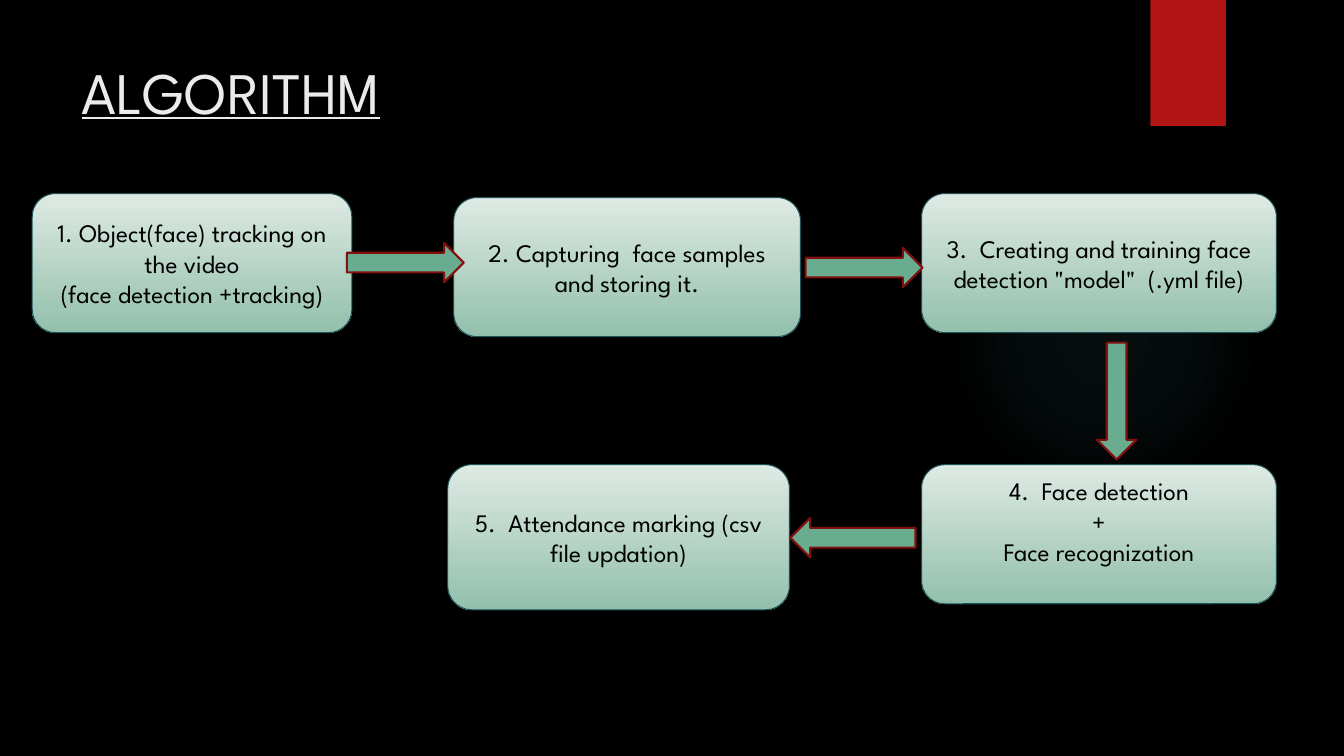
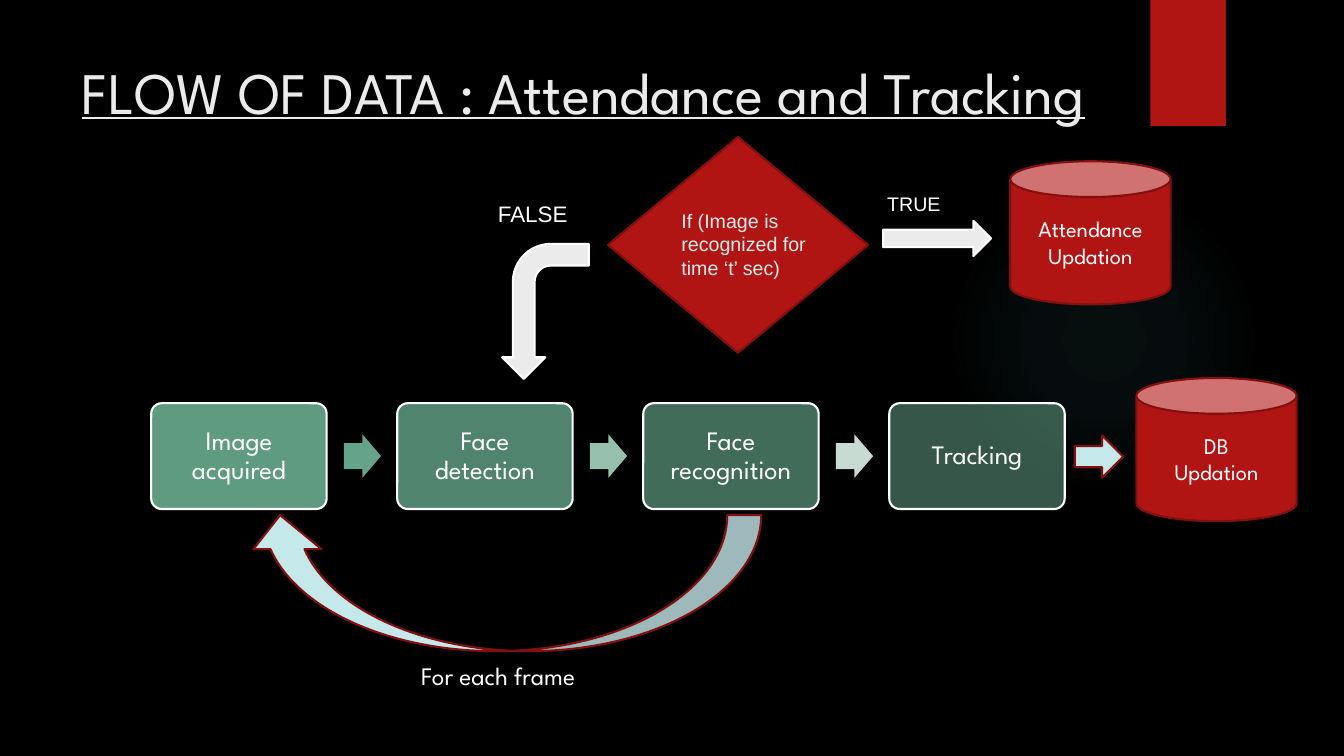
from dataclasses import dataclass

import lxml.etree
import pptx
import pptx.dml.color
import pptx.enum.shapes
import pptx.enum.text
import pptx.oxml
import pptx.oxml.ns
import pptx.util

Inches = pptx.util.Inches
Pt = pptx.util.Pt
Kind = pptx.enum.shapes.MSO_SHAPE
Align = pptx.enum.text.PP_ALIGN
Anchor = pptx.enum.text.MSO_ANCHOR

COLORS = {
    "background": "000000",
    "title": "EBEBEB",
    "white": "FFFFFF",
    "black": "000000",
    "red": "B01513",
    "dark red": "82100E",
    "green": "6AAC90",
    "green light": "DEEAE4",
    "green soft": "93C0AC",
    "teal line": "1E5155",
    "glow": "50B9C1",
    "ice": "C5E8EA",
    "step arrow 1": "65A48A",
    "step arrow 2": "97BFAD",
    "step arrow 3": "C8DBD2",
}
HEADING_FONT = "League Spartan"
LABEL_FONT = "Arial"


@dataclass
class Box:
    left: float
    top: float
    width: float
    height: float

    def lengths(self) -> tuple:
        return tuple(Inches(n) for n in (self.left, self.top, self.width, self.height))


@dataclass
class Block:
    kind: int
    box: Box
    fill: str
    line: str = ""
    rotation: int = 0
    flip_vertical: bool = False


@dataclass
class FlowCard:
    box: Box
    text: str
    bottom_inset: float = 0.05


@dataclass
class Label:
    box: Box
    text: str
    size: int
    color: str = "white"
    font: str = LABEL_FONT


@dataclass
class Step:
    text: str
    opacity: int
    arrow: str = ""


def rgb(name: str) -> pptx.dml.color.RGBColor:
    return pptx.dml.color.RGBColor.from_string(COLORS[name])


def set_text(shape, text: str, size: int, color: str, font: str = HEADING_FONT,
             alignment=Align.CENTER, underline: bool = False) -> None:
    shape.text_frame.text = text
    for paragraph in shape.text_frame.paragraphs:
        paragraph.alignment = alignment
        for run in paragraph.runs:
            run.font.name = font
            run.font.size = Pt(size)
            run.font.color.rgb = rgb(color)
            if underline:
                run.font.underline = True


def add_block(slide, block: Block):
    shape = slide.shapes.add_shape(block.kind, *block.box.lengths())
    shape.shadow.inherit = False
    shape.fill.solid()
    shape.fill.fore_color.rgb = rgb(block.fill)
    if block.line:
        shape.line.color.rgb = rgb(block.line)
        shape.line.width = Pt(1.5)
    else:
        shape.line.fill.background()
    shape.rotation = block.rotation
    if block.flip_vertical:
        shape.element.spPr.find(pptx.oxml.ns.qn("a:xfrm")).set("flipV", "1")
    shape.text_frame.vertical_anchor = Anchor.MIDDLE
    return shape


def set_opacity(shape, percent: int) -> None:
    color = shape.element.spPr.find(".//" + pptx.oxml.ns.qn("a:srgbClr"))
    alpha = lxml.etree.SubElement(color, pptx.oxml.ns.qn("a:alpha"))
    alpha.set("val", str(percent * 1000))


def set_glow(shape) -> None:
    """Fill with a soft radial light that fades out."""
    stops = "".join(
        f'<a:gs pos="{position * 1000}"><a:srgbClr val="{COLORS["glow"]}">'
        f'<a:alpha val="{alpha * 1000}"/></a:srgbClr></a:gs>'
        for position, alpha in ((0, 7), (36, 6), (69, 0), (100, 0))
    )
    gradient = pptx.oxml.parse_xml(
        f'<a:gradFill {pptx.oxml.ns.nsdecls("a")} rotWithShape="1"><a:gsLst>{stops}</a:gsLst>'
        '<a:path path="circle"><a:fillToRect l="50000" t="50000" r="50000" b="50000"/>'
        "</a:path></a:gradFill>"
    )
    properties = shape.element.spPr
    properties.replace(properties.find(pptx.oxml.ns.qn("a:solidFill")), gradient)


def add_titled_slide(presentation, title: str, height: float):
    slide = presentation.slides.add_slide(presentation.slide_layouts.get_by_name("Title Only"))
    placeholder = slide.shapes.title
    box = Box(0.71, 0.5, 10.29, height)
    placeholder.left, placeholder.top, placeholder.width, placeholder.height = box.lengths()
    set_text(placeholder, title, 42, "title", alignment=Align.LEFT, underline=True)
    return slide


def style_layout(presentation) -> None:
    """Give the layout its background, glow, red band and title settings."""
    layout = presentation.slide_layouts.get_by_name("Title Only")
    background = presentation.slide_master.background.fill
    background.solid()
    background.fore_color.rgb = rgb("background")
    for placeholder in layout.placeholders:
        if placeholder.placeholder_format.type == pptx.enum.shapes.PP_PLACEHOLDER.TITLE:
            placeholder.text_frame.vertical_anchor = Anchor.TOP
            placeholder.text_frame.auto_size = pptx.enum.text.MSO_AUTO_SIZE.NONE


def add_layout_decor(presentation, slide) -> None:
    """Build the shared shapes, then move them to the back of the layout."""
    glow = add_block(slide, Block(Kind.OVAL, Box(9.41, 1.83, 3.08, 3.08), "glow"))
    set_glow(glow)
    band = add_block(slide, Block(Kind.RECTANGLE, Box(11.41, 0, 0.75, 1.25), "red"))
    tree = slide.slide_layout.shapes.element
    for index, shape in enumerate((glow, band)):
        tree.insert(2 + index, shape.element)


def add_flow_card(slide, card: FlowCard) -> None:
    shape = add_block(slide, Block(Kind.ROUNDED_RECTANGLE, card.box, "green", "teal line"))
    shape.line.width = Pt(0.75)
    shape.fill.gradient()
    shape.fill.gradient_angle = 270
    for stop, color in zip(shape.fill.gradient_stops, ("green light", "green soft")):
        stop.color.rgb = rgb(color)
        stop.position = 0 if color == "green light" else 1
    set_text(shape, card.text, 18, "black")
    shape.text_frame.margin_bottom = Inches(card.bottom_inset)


def add_label(slide, label: Label) -> None:
    shape = slide.shapes.add_textbox(*label.box.lengths())
    shape.text_frame.word_wrap = True
    set_text(shape, label.text, label.size, label.color, label.font, Align.LEFT)


def add_step(slide, index: int, step: Step) -> None:
    left = 1.5 + 2.44 * index
    box = Box(left, 4, 1.74, 1.05)
    shape = add_block(slide, Block(Kind.ROUNDED_RECTANGLE, box, "green", "white"))
    shape.adjustments[0] = 0.1
    set_opacity(shape, step.opacity)
    set_text(shape, step.text, 19, "white")
    frame = shape.text_frame
    frame.margin_left = frame.margin_right = Inches(0.08)
    frame.margin_top = frame.margin_bottom = Inches(0.08)
    frame.paragraphs[0].line_spacing = 0.9
    if step.arrow:
        arrow_box = Box(left + 1.91, 4.31, 0.37, 0.43)
        arrow = add_block(slide, Block(Kind.RIGHT_ARROW, arrow_box, step.arrow))
        arrow.adjustments[0] = 0.6


def build_algorithm(slide) -> None:
    cards = [
        FlowCard(Box(0.32, 1.92, 3.17, 1.38),
                 "1. Object(face) tracking on the video\n(face detection +tracking)"),
        FlowCard(Box(4.5, 1.96, 3.44, 1.38), "2. Capturing  face samples and storing it."),
        FlowCard(Box(9.14, 1.92, 3.52, 1.38),
                 '3.  Creating and training face detection "model"  (.yml file)'),
        FlowCard(Box(9.14, 4.61, 3.52, 1.38),
                 "4.  Face detection\n+\nFace recognization", bottom_inset=0.31),
        FlowCard(Box(4.44, 4.61, 3.39, 1.44), "5.  Attendance marking (csv file updation)"),
    ]
    for card in cards:
        add_flow_card(slide, card)

    arrows = [
        (Kind.RIGHT_ARROW, Box(3.44, 2.41, 1.16, 0.39)),
        (Kind.RIGHT_ARROW, Box(7.99, 2.46, 1.16, 0.39)),
        (Kind.DOWN_ARROW, Box(10.88, 3.4, 0.39, 1.16)),
        (Kind.LEFT_ARROW, Box(7.84, 5.14, 1.24, 0.39)),
    ]
    for kind, box in arrows:
        add_block(slide, Block(kind, box, "green", "dark red"))


def build_data_flow(slide) -> None:
    # Processing steps
    steps = [
        Step("Image acquired", 90, "step arrow 1"),
        Step("Face detection", 77, "step arrow 2"),
        Step("Face recognition", 63, "step arrow 3"),
        Step("Tracking", 50),
    ]
    for index, step in enumerate(steps):
        add_step(slide, index, step)

    # Data stores
    for left, top, text in ((10.02, 1.6, "Attendance Updation"), (11.27, 3.75, "DB\nUpdation")):
        store = add_block(slide, Block(Kind.CAN, Box(left, top, 1.59, 1.42), "red", "dark red"))
        set_text(store, text, 16, "white")

    # Decision and the arrows around it
    blocks = [
        Block(Kind.RIGHT_ARROW, Box(10.66, 4.32, 0.48, 0.42), "ice", "dark red"),
        Block(Kind.CURVED_DOWN_ARROW, Box(2.44, 5.11, 5.11, 1.35), "ice", "dark red",
              rotation=180),
        Block(Kind.DIAMOND, Box(6.03, 1.36, 2.58, 2.14), "red", "dark red"),
        Block(Kind.RIGHT_ARROW, Box(8.76, 2.19, 1.07, 0.35), "title", "white"),
        Block(Kind.BENT_ARROW, Box(4.74, 2.66, 1.34, 0.86), "title", "white",
              rotation=90, flip_vertical=True),
    ]
    for block in blocks:
        add_block(slide, block)

    labels = [
        Label(Box(4.08, 6.5, 3, 0.4), "For each frame", 18, font=HEADING_FONT),
        Label(Box(6.66, 2.02, 1.55, 0.81), "If (Image is recognized for time ‘t’ sec)", 14,
              "title"),
        Label(Box(4.84, 1.94, 1.02, 0.37), "FALSE", 16),
        Label(Box(8.7, 1.86, 0.88, 0.34), "TRUE", 14),
    ]
    for label in labels:
        add_label(slide, label)


def main() -> None:
    presentation = pptx.Presentation()
    presentation.slide_width = Inches(13.33)
    presentation.slide_height = Inches(7.5)
    style_layout(presentation)

    algorithm = add_titled_slide(presentation, "ALGORITHM", 0.94)
    add_layout_decor(presentation, algorithm)
    build_algorithm(algorithm)

    data_flow = add_titled_slide(presentation, "FLOW OF DATA : Attendance and Tracking", 1.53)
    build_data_flow(data_flow)
    presentation.save("out.pptx")


if __name__ == "__main__":
    main()
